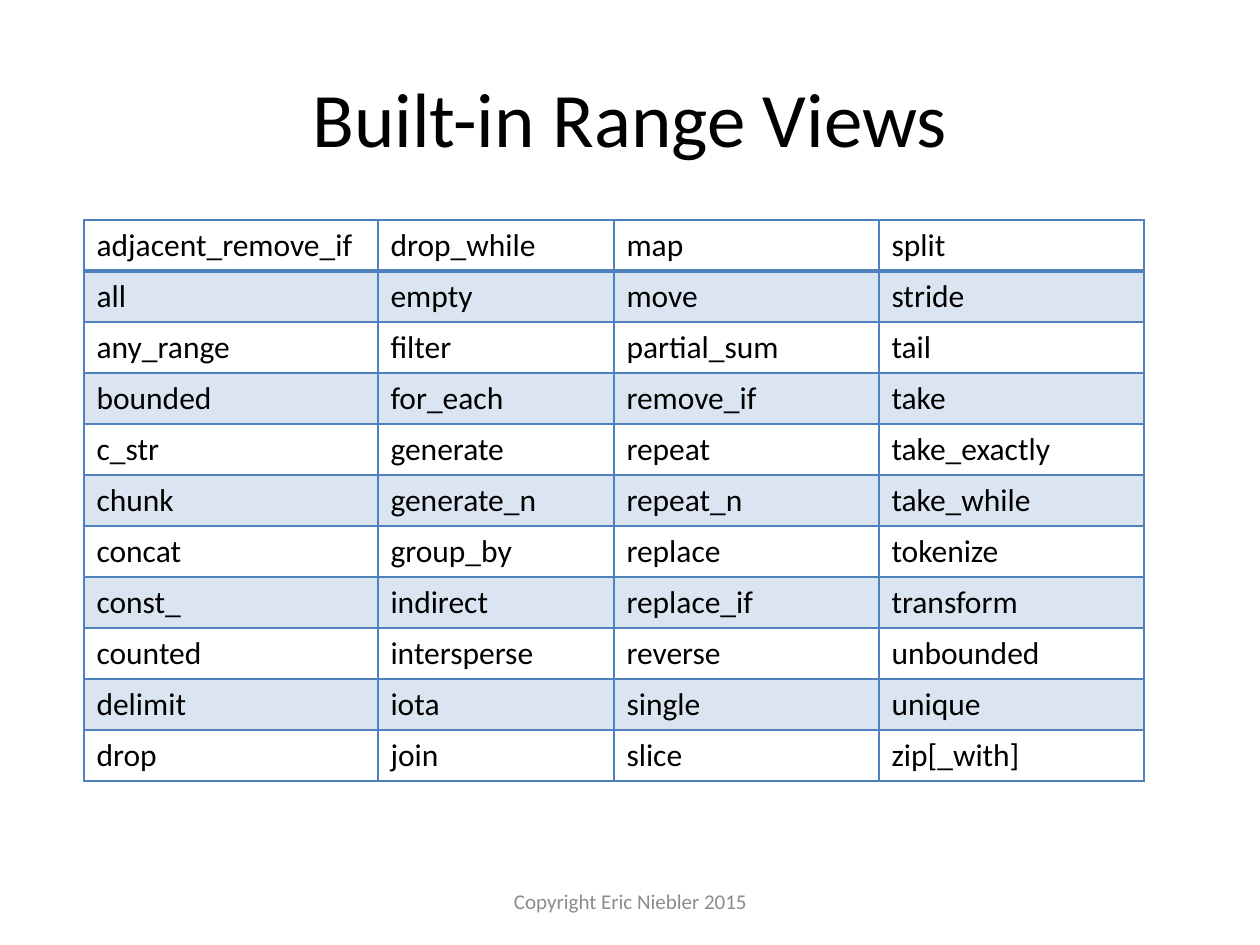
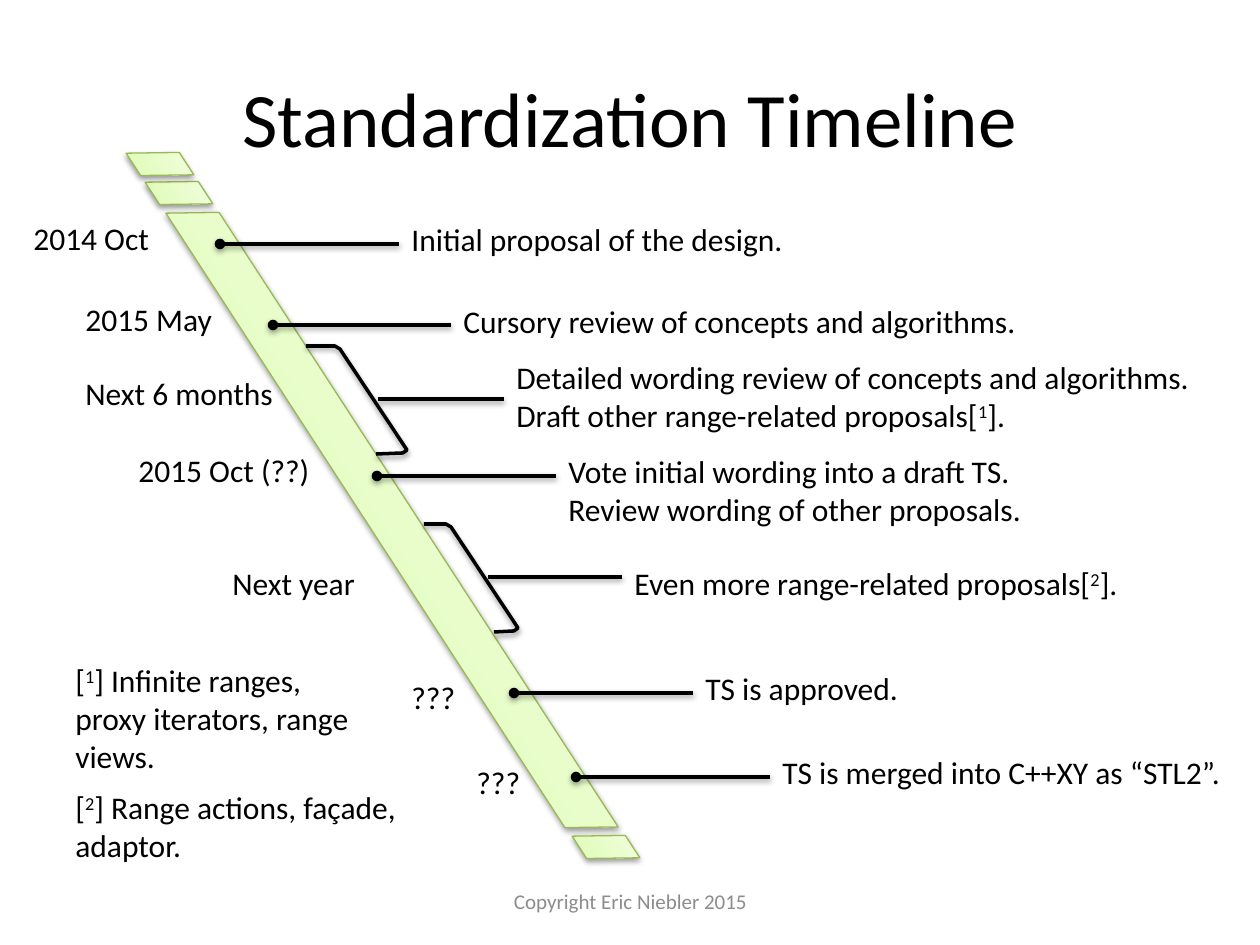
from typing import NamedTuple

from lxml import etree
from pptx import Presentation
from pptx.dml.color import RGBColor
from pptx.enum.shapes import MSO_CONNECTOR, MSO_SHAPE
from pptx.enum.text import MSO_ANCHOR, PP_ALIGN
from pptx.oxml.ns import qn
from pptx.util import Pt

LINE = MSO_CONNECTOR.STRAIGHT
PARALLELOGRAM = MSO_SHAPE.PARALLELOGRAM
TOP, MIDDLE = MSO_ANCHOR.TOP, MSO_ANCHOR.MIDDLE
LEFT, CENTER = PP_ALIGN.LEFT, PP_ALIGN.CENTER

EMU_PER_PX = 914400 / 126
FONT = "Calibri"
COLORS = {
    "text": "000000",
    "footer": "8C8C8C",
    "table": "4F81BD",
    "band_line": "98B955",
    "band_start": "DAFDA7",
    "band_middle": "E4FCC2",
    "band_end": "F5FFE7",
}
BAND_STOPS = [(0, "band_start"), (35, "band_middle"), (100, "band_end")]

COLUMN_WIDTHS = [294, 236, 265, 265]
ROW_HEIGHT = 51
VIEW_COLUMNS = [
    ["adjacent_remove_if", "all", "any_range", "bounded", "c_str", "chunk",
     "concat", "const_", "counted", "delimit", "drop"],
    ["drop_while", "empty", "filter", "for_each", "generate", "generate_n",
     "group_by", "indirect", "intersperse", "iota", "join"],
    ["map", "move", "partial_sum", "remove_if", "repeat", "repeat_n",
     "replace", "replace_if", "reverse", "single", "slice"],
    ["split", "stride", "tail", "take", "take_exactly", "take_while",
     "tokenize", "transform", "unbounded", "unique", "zip[_with]"],
]


class Milestone(NamedTuple):
    date: str
    date_box: tuple
    line: tuple  # left end, right end, height on the slide
    dotted: bool
    text_top: int
    text_width: int
    texts: list


MILESTONES = [
    Milestone("2014 Oct", (21, 213, 145, 50), (220, 399, 244), True, 214, 473,
              ["Initial proposal of the design."]),
    Milestone("2015 May", (73, 294, 179, 50), (273, 451, 325), True, 296, 609,
              ["Cursory review of concepts and algorithms."]),
    Milestone("Next 6 months", (73, 368, 231, 50), (378, 504, 399), False, 352, 714,
              ["Detailed wording review of concepts and algorithms.",
               "Draft other range-related proposals[^1^]."]),
    Milestone("2015 Oct (??)", (126, 445, 197, 50), (377, 556, 476), True, 446, 609,
              ["Vote initial wording into a draft TS.",
               "Review wording of other proposals."]),
    Milestone("Next year", (220, 558, 179, 50), (488, 622, 577), False, 558, 553,
              ["Even more range-related proposals[^2^]."]),
    Milestone("???", (399, 672, 95, 50), (514, 693, 693), True, 663, 262,
              ["TS is approved."]),
    Milestone("???", (464, 757, 90, 50), (576, 770, 777), True, 747, 490,
              ["TS is merged into C++XY as “STL2”."]),
]


def px(*lengths):
    return [round(length * EMU_PER_PX) for length in lengths]


def rgb(name):
    return RGBColor.from_string(COLORS[name])


def add_child(parent, tag, **attributes):
    return etree.SubElement(parent, qn(tag), attributes)


def add_color(parent, name, alpha=None):
    color = add_child(parent, "a:srgbClr", val=COLORS[name])
    if alpha is not None:
        add_child(color, "a:alpha", val=str(alpha * 1000))


def add_runs(paragraph, text, size, color="text"):
    """Write text as runs; what stands between ^ marks is superscript."""
    for index, part in enumerate(text.split("^")):
        run = paragraph.add_run()
        run.text = part
        run.font.name = FONT
        run.font.size = Pt(size)
        run.font.color.rgb = rgb(color)
        if index % 2:
            run.font._element.set("baseline", "30000")


def add_text(slide, box, texts, size=18, color="text", align=LEFT, anchor=TOP):
    frame = slide.shapes.add_textbox(*px(*box)).text_frame
    frame.word_wrap = True
    frame.vertical_anchor = anchor
    for index, text in enumerate(texts):
        paragraph = frame.add_paragraph() if index else frame.paragraphs[0]
        paragraph.alignment = align
        add_runs(paragraph, text, size, color)


def add_slide(presentation, title):
    slide = presentation.slides.add_slide(presentation.slide_layouts[6])
    add_text(slide, (63, 38, 1134, 158), [title], 44, align=CENTER, anchor=MIDDLE)
    add_text(slide, (431, 876, 399, 50), ["Copyright Eric Niebler 2015"], 12,
             "footer", CENTER, MIDDLE)
    return slide


def set_border(cell, sides):
    """Draw the cell's edges; sides maps L, R, T, B to widths in points."""
    properties = cell._tc.get_or_add_tcPr()
    for side, width in sides.items():
        line = add_child(properties, f"a:ln{side}", w=str(Pt(width)))
        add_color(add_child(line, "a:solidFill"), "table")


def add_view_table(slide):
    row_count = len(VIEW_COLUMNS[0])
    box = px(84, 220, sum(COLUMN_WIDTHS), ROW_HEIGHT * row_count)
    table = slide.shapes.add_table(row_count, len(VIEW_COLUMNS), *box).table
    table.first_row = table.horz_banding = False
    for column, width in zip(table.columns, px(*COLUMN_WIDTHS)):
        column.width = width
    for row_index, views in enumerate(zip(*VIEW_COLUMNS)):
        table.rows[row_index].height = px(ROW_HEIGHT)[0]
        for column_index, view in enumerate(views):
            cell = table.cell(row_index, column_index)
            add_runs(cell.text_frame.paragraphs[0], view, 18)
            set_border(cell, {"L": 1, "R": 1, "T": 2 if row_index == 1 else 1,
                              "B": 2 if row_index == 0 else 1})
            if row_index % 2:
                add_color(add_child(cell._tc.tcPr, "a:solidFill"), "table", 20)
            else:
                cell.fill.background()


def style_line(shape, color="text", width=2):
    """Set the outline and the soft shadow below it."""
    shape.line.color.rgb = rgb(color)
    shape.line.width = Pt(width)
    effects = add_child(shape._element.spPr, "a:effectLst")
    shadow = add_child(effects, "a:outerShdw", blurRad="40000", dist="20000",
                       dir="5400000", rotWithShape="0")
    add_color(shadow, "text", 38)


def add_band(slide, center_x, center_y, length):
    height = 45
    box = px(center_x - length / 2, center_y - height / 2, length, height)
    band = slide.shapes.add_shape(PARALLELOGRAM, *box)
    band.rotation = 57
    band.adjustments[0] = 0.63
    band.fill.gradient()
    gradient = band._element.spPr.find(qn("a:gradFill"))
    for child in list(gradient):
        gradient.remove(child)
    stops = add_child(gradient, "a:gsLst")
    for position, color in BAND_STOPS:
        add_color(add_child(stops, "a:gs", pos=str(position * 1000)), color)
    add_child(gradient, "a:lin", ang="16200000", scaled="1")
    style_line(band, "band_line", 0.75)


def add_slanted_bracket(slide, x, y, arm):
    corner = x + arm
    builder = slide.shapes.build_freeform(x, y, EMU_PER_PX)
    builder.add_line_segments(
        [(corner - 1, y), (corner + 4, y + 3), (corner + 71, y + 104),
         (corner + 67, y + 107), (x + 70, y + 108)], close=False)
    bracket = builder.convert_to_shape()
    bracket.fill.background()
    style_line(bracket)


def add_milestone(slide, milestone):
    start, end, y = milestone.line
    add_text(slide, milestone.date_box, [milestone.date])
    connector = slide.shapes.add_connector(LINE, *px(end, y, start, y))
    style_line(connector)
    if milestone.dotted:
        add_child(connector.line._get_or_add_ln(), "a:tailEnd", type="oval")
    height = 12 + 38 * len(milestone.texts)
    add_text(slide, (end, milestone.text_top, milestone.text_width, height),
             milestone.texts)


def build_views_slide(presentation):
    add_view_table(add_slide(presentation, "Built-in Range Views"))


def build_timeline_slide(presentation):
    slide = add_slide(presentation, "Standardization Timeline")
    add_band(slide, 392, 520, 761)
    for center in [(179, 193), (160, 164), (606, 847)]:
        add_band(slide, *center, 55)
    add_slanted_bracket(slide, 306, 346, 30)
    add_slanted_bracket(slide, 424, 524, 23)
    for milestone in MILESTONES:
        add_milestone(slide, milestone)
    add_text(slide, (63, 655, 315, 127),
             ["[^1^] Infinite ranges, proxy iterators, range views."])
    add_text(slide, (63, 782, 368, 89), ["[^2^] Range actions, façade, adaptor."])


def main():
    presentation = Presentation()
    presentation.slide_width, presentation.slide_height = px(1260, 945)
    build_views_slide(presentation)
    build_timeline_slide(presentation)
    presentation.save("out.pptx")


if __name__ == "__main__":
    main()
